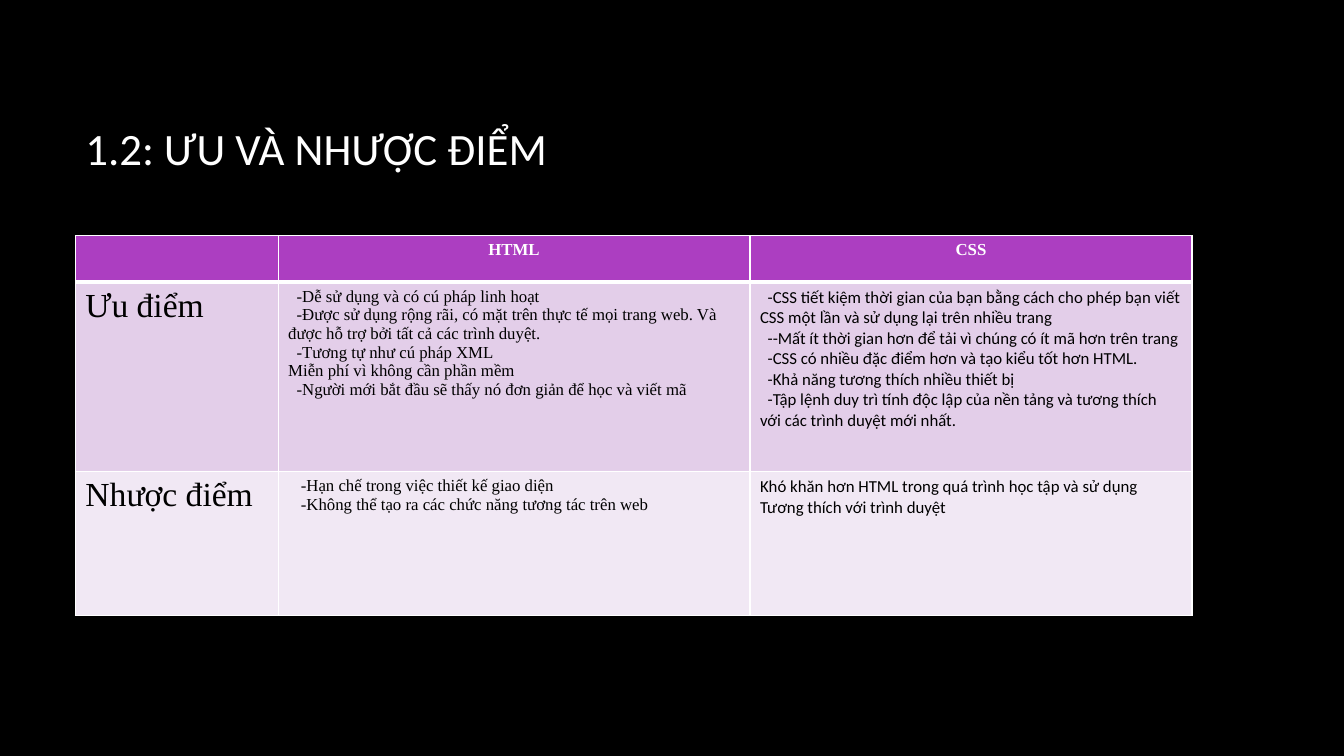
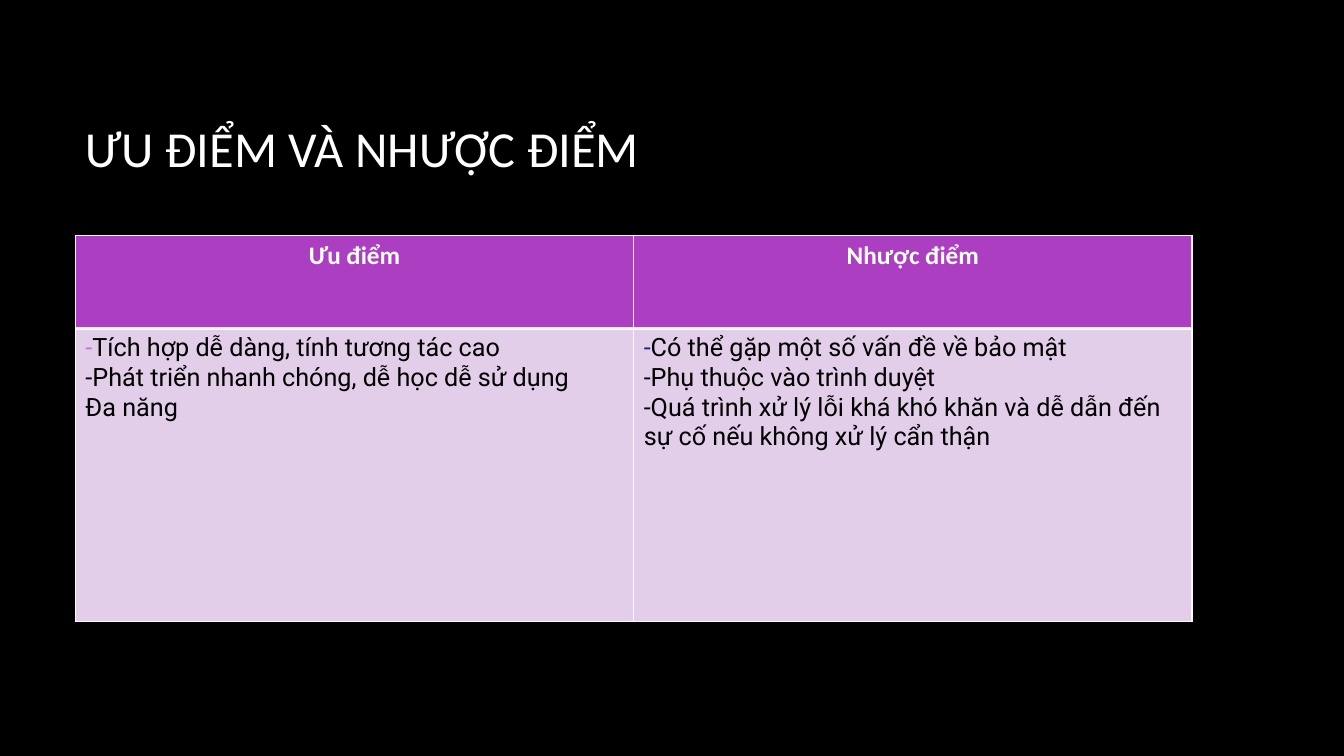
from lxml import etree
from pptx import Presentation
from pptx import util as u
from pptx.dml.color import RGBColor
from pptx.enum import text
from pptx.oxml import ns

COLORS = {
    "back": "000000", "white": "FFFFFF", "black": "000000",
    "head": "AC3EC1", "band": "E3CEE9", "light": "F1E8F4",
    "pink": "C573D2", "navy": "18276C",
}
SERIF, SANS, ROBOTO = "Times New Roman", "Calibri", "Roboto"


def rgb(name):
    return RGBColor.from_string(COLORS[name])


def put_text(tf, lines, font=SANS, size=12, color="black", bold=False,
             align=text.PP_ALIGN.LEFT, indent=0, dash=None):
    """Write lines; indent (points) shifts dashed lines, dash colours the first dash."""
    for i, line in enumerate(lines):
        p = tf.paragraphs[0] if i == 0 else tf.add_paragraph()
        p.alignment = align
        if indent and line.startswith("-"):
            pPr = p._p.get_or_add_pPr()
            pPr.set("marL", "0")
            pPr.set("indent", str(u.Pt(indent)))
        parts = [(line, color)]
        if dash and i == 0:
            parts = [(line[:1], dash), (line[1:], color)]
        for words, shade in parts:
            r = p.add_run()
            r.text = words
            r.font.name, r.font.size, r.font.bold = font, u.Pt(size), bold
            r.font.color.rgb = rgb(shade)


class Deck:
    LEFT, WIDTH = u.Cm(1.9), u.Cm(28.14)
    THIN, THICK = 1, 3

    def __init__(self):
        self.prs = Presentation()
        self.prs.slide_width, self.prs.slide_height = u.Cm(33.87), u.Cm(19.05)
        fill = self.prs.slide_master.background.fill
        fill.solid()
        fill.fore_color.rgb = rgb("back")
        self.s = None

    def slide(self, title, size):
        self.s = self.prs.slides.add_slide(self.prs.slide_layouts[5])
        sp = self.s.shapes.title
        sp.left, sp.top, sp.width, sp.height = self.LEFT, u.Cm(1.7), self.WIDTH, u.Cm(4.04)
        tf = sp.text_frame
        tf.vertical_anchor = text.MSO_ANCHOR.MIDDLE
        put_text(tf, [title], size=size, color="white")

    def border(self, cell, side, width):
        tcPr = cell._tc.get_or_add_tcPr()
        ln = etree.SubElement(tcPr, ns.qn("a:ln" + side), w=str(u.Pt(width)))
        fill = etree.SubElement(ln, ns.qn("a:solidFill"))
        etree.SubElement(fill, ns.qn("a:srgbClr"), val=COLORS["white"])

    def table(self, cols, rows, fills, cells):
        """Draw a table; each cell is (lines, text format)."""
        shape = self.s.shapes.add_table(len(rows), len(cols), self.LEFT, u.Cm(5.94),
                                        self.WIDTH, u.Cm(sum(rows)))
        tbl = shape.table
        for col, width in zip(tbl.columns, cols):
            col.width = u.Cm(width)
        for i, (height, shade) in enumerate(zip(rows, fills)):
            tbl.rows[i].height = u.Cm(height)
            for j, (lines, style) in enumerate(cells[i]):
                cell = tbl.cell(i, j)
                # The rule below the header row is the thick one
                top = self.THICK if i == 1 else self.THIN
                bottom = self.THICK if i == 0 else self.THIN
                for side, width in zip("LRTB", (self.THIN, self.THIN, top, bottom)):
                    self.border(cell, side, width)
                cell.fill.solid()
                cell.fill.fore_color.rgb = rgb(shade)
                put_text(cell.text_frame, lines, **style)


# Text formats
header = dict(color="white", bold=True, align=text.PP_ALIGN.CENTER)
serif_header = dict(header, font=SERIF)
sans_header = dict(header, size=18)
row_label = dict(font=SERIF, size=24)
roboto = dict(font=ROBOTO, size=18)

deck = Deck()

# Slide 1: HTML and CSS compared
deck.slide("1.2: ƯU VÀ NHƯỢC ĐIỂM", 32)
deck.table(
    cols=[5.11, 11.89, 11.14], rows=[1.17, 4.78, 3.61], fills=["head", "band", "light"],
    cells=[
        [([], {}), (["HTML"], serif_header), (["CSS"], serif_header)],
        [(["Ưu điểm"], row_label),
         (["-Dễ sử dụng và có cú pháp linh hoạt",
           "-Được sử dụng rộng rãi, có mặt trên thực tế mọi trang web. "
           "Và được hỗ trợ bởi tất cả các trình duyệt.",
           "-Tương tự như cú pháp XML",
           "Miễn phí vì không cần phần mềm",
           "-Người mới bắt đầu sẽ thấy nó đơn giản để học và viết mã"],
          dict(font=SERIF, indent=6)),
         (["-CSS tiết kiệm thời gian của bạn bằng cách cho phép bạn viết "
           "CSS một lần và sử dụng lại trên nhiều trang",
           "--Mất ít thời gian hơn để tải vì chúng có ít mã hơn trên trang",
           "-CSS có nhiều đặc điểm hơn và tạo kiểu tốt hơn HTML.",
           "-Khả năng tương thích nhiều thiết bị",
           "-Tập lệnh duy trì tính độc lập của nền tảng và tương thích với "
           "các trình duyệt mới nhất."],
          dict(indent=5.4))],
        [(["Nhược điểm"], row_label),
         (["-Hạn chế trong việc thiết kế giao diện",
           "-Không thể tạo ra các chức năng tương tác trên web"],
          dict(font=SERIF, indent=9)),
         (["Khó khăn hơn HTML trong quá trình học tập và sử dụng",
           "Tương thích với trình duyệt"], {})],
    ])

# Slide 2: pros and cons
deck.slide("ƯU ĐIỂM VÀ NHƯỢC ĐIỂM", 36)
deck.table(
    cols=[14.07, 14.07], rows=[2.34, 7.39], fills=["head", "band"],
    cells=[
        [(["Ưu điểm"], sans_header), (["Nhược điểm"], sans_header)],
        [(["-Tích hợp dễ dàng, tính tương tác cao",
           "-Phát triển nhanh chóng, dễ học dễ sử dụng",
           "Đa năng"], dict(roboto, dash="pink")),
         (["-Có thể gặp một số vấn đề về bảo mật",
           "-Phụ thuộc vào trình duyệt",
           "-Quá trình xử lý lỗi khá khó khăn và dễ dẫn đến sự cố "
           "nếu không xử lý cẩn thận"], dict(roboto, dash="navy"))],
    ])

deck.prs.save("out.pptx")
